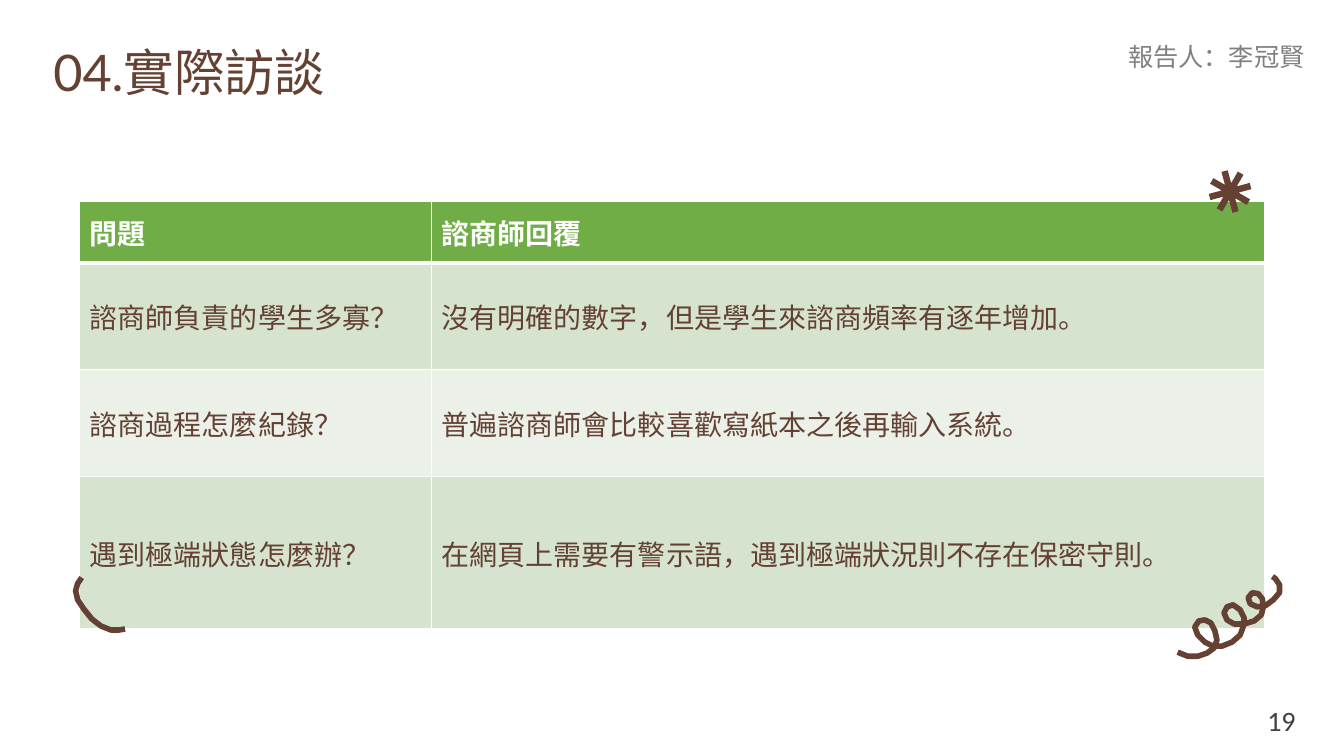
from math import cos, pi, radians, sin

from lxml import etree
from pptx import Presentation
from pptx.dml.color import RGBColor
from pptx.enum.text import MSO_ANCHOR, PP_ALIGN
from pptx.oxml.ns import qn
from pptx.util import Inches, Pt

MID, TOP = MSO_ANCHOR.MIDDLE, MSO_ANCHOR.TOP
LEFT, RIGHT = PP_ALIGN.LEFT, PP_ALIGN.RIGHT

BROWN = RGBColor(0x64, 0x41, 0x32)
GREEN = RGBColor(0x70, 0xAD, 0x47)
SAGE = RGBColor(0xD5, 0xE3, 0xCF)
PALE = RGBColor(0xEB, 0xF1, 0xE9)
WHITE = RGBColor(0xFF, 0xFF, 0xFF)
GREY = RGBColor(0x80, 0x80, 0x80)
DARK = RGBColor(0x40, 0x40, 0x40)

WIDE, HIGH = Inches(13.33), Inches(7.5)
COLS, ROWS = 133.3, 75  # grid of square cells

TABLE = [
    ("問題", "諮商師回覆"),
    ("諮商師負責的學生多寡？", "沒有明確的數字，但是學生來諮商頻率有逐年增加。"),
    ("諮商過程怎麼紀錄？", "普遍諮商師會比較喜歡寫紙本之後再輸入系統。"),
    ("遇到極端狀態怎麼辦？", "在網頁上需要有警示語，遇到極端狀況則不存在保密守則。"),
]

# Centre lines of the two doodles, in grid cells
CURL = [
    (116.8, 64.7), (117.8, 65.1), (118.8, 65.1), (119.7, 64.8), (120.4, 64.3),
    (120.7, 63.5), (120.5, 62.6), (120.1, 61.8), (119.5, 61.5), (118.9, 61.6),
    (118.5, 62.2), (118.8, 63), (119.5, 63.7), (120.3, 64.1), (121.2, 64.1),
    (122.2, 63.7), (123, 63), (123.3, 62.2), (123.4, 61.3), (123, 60.5),
    (122.3, 60), (121.7, 60.2), (121.4, 60.8), (121.7, 61.5), (122.4, 61.9),
    (123.4, 61.9), (124.4, 61.6), (125.1, 61), (125.3, 60.2), (125.2, 59.4),
    (124.8, 58.9), (124.2, 58.8), (123.8, 59.3), (124, 59.9), (124.7, 60.2),
    (125.5, 60.1), (126.3, 59.5), (126.9, 58.8), (126.9, 58), (126.5, 57.4),
    (126.2, 57.2),
]
ARC = [
    (8.1, 57.3), (7.7, 57.9), (7.5, 58.6), (7.7, 59.5), (8.3, 60.4),
    (9.1, 61.4), (10, 62.1), (11, 62.5), (11.8, 62.5), (12.4, 62.4),
]


class Deck:
    def __init__(self, slide, face):
        self.slide = slide
        self.face = face

    def x(self, col):
        return round(WIDE * col / COLS)

    def y(self, row):
        return round(HIGH * row / ROWS)

    def run(self, para, words, size, color, face=None, bold=False):
        run = para.add_run()
        run.text = words
        font = run.font
        font.name, font.size, font.bold = face or self.face, Pt(size), bold
        font.color.rgb = color

    def text(self, at, words, size, color, face=None, wrap=True, side=LEFT, hold=TOP):
        left, top, wide, high = at
        box = self.slide.shapes.add_textbox(
            self.x(left), self.y(top), self.x(wide), self.y(high))
        frame = box.text_frame
        frame.word_wrap, frame.vertical_anchor = wrap, hold
        para = frame.paragraphs[0]
        para.alignment = side
        self.run(para, words, size, color, face)

    def edge(self, cell, side, size):
        props = cell._tc.get_or_add_tcPr()
        line = etree.SubElement(props, qn("a:" + side), w=str(Pt(size)))
        fill = etree.SubElement(line, qn("a:solidFill"))
        etree.SubElement(fill, qn("a:srgbClr"), val=str(WHITE))

    def table(self, left, top, wides, highs, data, size):
        grid = self.slide.shapes.add_table(
            len(highs), len(wides), self.x(left), self.y(top),
            self.x(sum(wides)), self.y(sum(highs))).table
        for col, wide in zip(grid.columns, wides):
            col.width = self.x(wide)
        for i, (high, words) in enumerate(zip(highs, data)):
            grid.rows[i].height = self.y(high)
            head = i == 0
            fill = GREEN if head else (PALE, SAGE)[i % 2]
            for j, word in enumerate(words):
                cell = grid.cell(i, j)
                cell.vertical_anchor = MID
                # Thick rule between the head and the body
                self.edge(cell, "lnL", 1)
                self.edge(cell, "lnR", 1)
                self.edge(cell, "lnT", 3 if i == 1 else 1)
                self.edge(cell, "lnB", 3 if head else 1)
                cell.fill.solid()
                cell.fill.fore_color.rgb = fill
                self.run(cell.text_frame.paragraphs[0], word, size,
                         WHITE if head else BROWN, bold=head)

    def form(self, dots, close):
        dots = [(self.x(col), self.y(row)) for col, row in dots]
        path = self.slide.shapes.build_freeform(*dots[0])
        path.add_line_segments(dots[1:], close=close)
        shape = path.convert_to_shape()
        shape.shadow.inherit = False
        return shape

    def stroke(self, dots, size, color):
        shape = self.form(dots, False)
        shape.fill.background()
        shape.line.width = Pt(size)
        shape.line.color.rgb = color

    def star(self, col, row, reach, half, arms, tilt, color):
        step = 2 * pi / arms
        notch = half / sin(step / 2)
        dots = []
        for k in range(arms):
            turn = radians(tilt) + k * step
            for side in (-half, half):
                dots.append((col + reach * cos(turn) - side * sin(turn),
                             row + reach * sin(turn) + side * cos(turn)))
            turn += step / 2
            dots.append((col + notch * cos(turn), row + notch * sin(turn)))
        shape = self.form(dots, True)
        shape.fill.solid()
        shape.fill.fore_color.rgb = color
        shape.line.fill.background()


def main():
    show = Presentation()
    show.slide_width, show.slide_height = WIDE, HIGH
    deck = Deck(show.slides.add_slide(show.slide_layouts[6]), "Lato")

    # Speaker, page number and title
    deck.text((110.9, 3.6, 19.7, 4), "報告人：李冠賢", 18, GREY, wrap=False)
    deck.text((99.5, 69.5, 30, 4), "19", 20, DARK, "Calibri", side=RIGHT, hold=MID)
    deck.text((4.3, 3.6, 29.5, 7.1), "04.實際訪談", 36, BROWN)

    # Interview table
    deck.table(7.9, 20, (34.9, 82.6), (6.1, 10.6, 10.6, 15.1), TABLE, 20)

    # Doodles at the table's corners
    deck.stroke(CURL, 4, BROWN)
    deck.star(122, 19, 2.1, 0.32, 8, -105, BROWN)
    deck.stroke(ARC, 4, BROWN)

    show.save("out.pptx")


if __name__ == "__main__":
    main()
